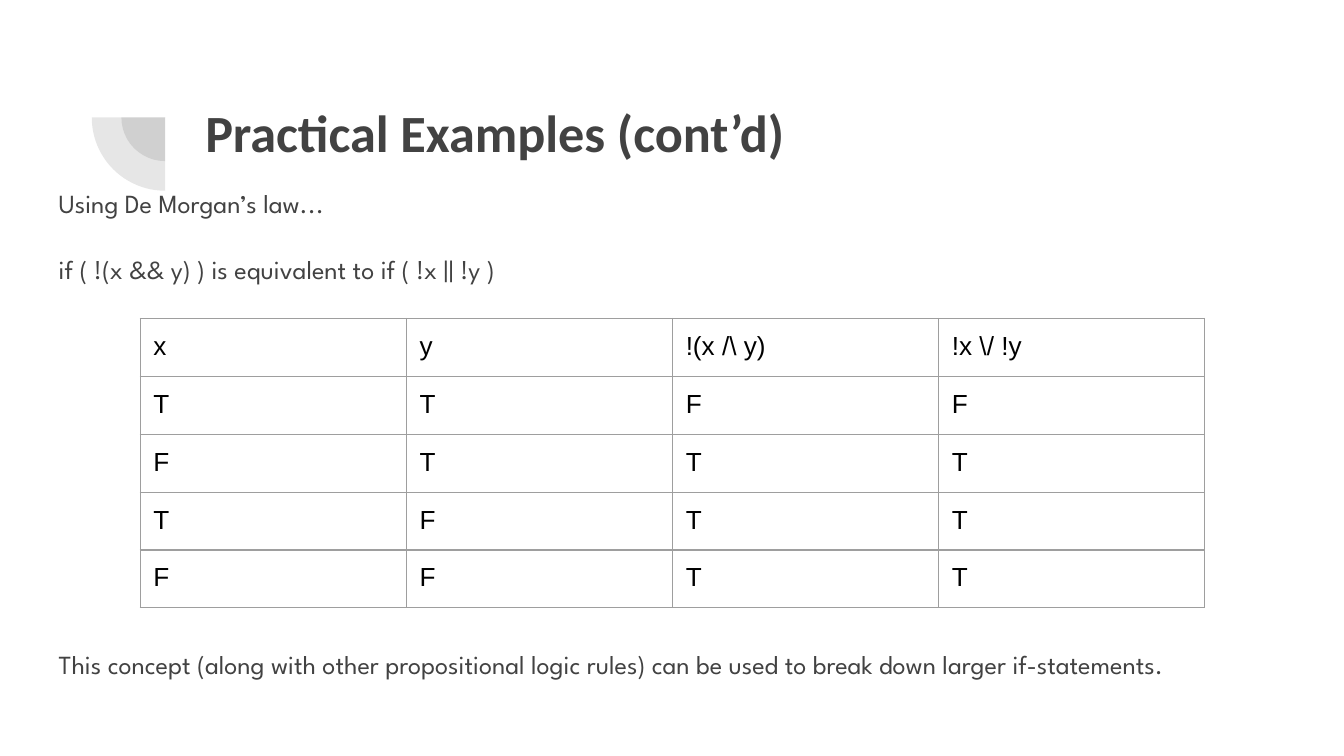
from dataclasses import dataclass

from lxml.etree import SubElement
from pptx import Presentation
from pptx.dml.color import RGBColor
from pptx.enum.shapes import MSO_SHAPE
from pptx.oxml.ns import qn
from pptx.util import Cm, Pt


@dataclass(frozen=True)
class Theme:
    ink: str = "424242"
    cell_ink: str = "000000"
    border: str = "9E9E9E"
    border_width: float = 0.75
    pie_alpha: int = 13
    title_font: str = "Calibri"
    body_font: str = "League Spartan"
    cell_font: str = "Arial"
    title_size: int = 28
    text_size: int = 14
    inset: float = 0.25


THEME = Theme()

TITLE = "Practical Examples (cont’d)"
# Each body line with the space before it, in points; the last one sits below the table
BODY = [
    ("Using De Morgan’s law...", 0),
    ("if ( !(x && y) ) is equivalent to if ( !x || !y )", 16),
    ("This concept (along with other propositional logic rules) "
     "can be used to break down larger if-statements.", 192.5),
]
TRUTH_TABLE = [
    ["x", "y", "!(x /\\ y)", "!x \\/ !y"],
    ["T", "T", "F", "F"],
    ["F", "T", "T", "T"],
    ["T", "F", "T", "T"],
    ["F", "F", "T", "T"],
]


def add_span(para, text, font, size, color, bold=False):
    span = para.add_run()
    span.text = text
    span.font.name = font
    span.font.size = Pt(size)
    span.font.bold = bold
    span.font.color.rgb = RGBColor.from_string(color)


def add_box(page, left, top, width, height):
    box = page.shapes.add_textbox(Cm(left), Cm(top), Cm(width), Cm(height))
    frame = box.text_frame
    frame.word_wrap = True
    frame.margin_left = frame.margin_right = Cm(THEME.inset)
    frame.margin_top = frame.margin_bottom = Cm(THEME.inset)
    return frame


def add_quarter_pie(page, center_x, center_y, diameter):
    pie = page.shapes.add_shape(
        MSO_SHAPE.PIE, Cm(center_x - diameter / 2), Cm(center_y - diameter / 2),
        Cm(diameter), Cm(diameter))
    pie.adjustments[0] = 108  # 180 degrees
    pie.adjustments[1] = 162  # 270 degrees
    pie.rotation = 270
    pie.shadow.inherit = False
    pie.line.fill.background()
    pie.fill.solid()
    pie.fill.fore_color.rgb = RGBColor.from_string(THEME.ink)
    color = pie._element.spPr.find(qn("a:solidFill"))[0]
    SubElement(color, qn("a:alpha"), val=str(THEME.pie_alpha * 1000))


def add_body(page):
    frame = add_box(page, 0.86, 3.2, 23.67, 10.46)
    for index, (text, space_before) in enumerate(BODY):
        para = frame.add_paragraph() if index else frame.paragraphs[0]
        para.line_spacing = 1.15
        para.space_before = Pt(space_before)
        add_span(para, text, THEME.body_font, THEME.text_size, THEME.ink)


def set_borders(cell):
    properties = cell._tc.get_or_add_tcPr()
    for side in ("lnL", "lnR", "lnT", "lnB"):
        line = SubElement(properties, qn(f"a:{side}"), w=str(Pt(THEME.border_width)))
        fill = SubElement(line, qn("a:solidFill"))
        SubElement(fill, qn("a:srgbClr"), val=THEME.border)


def add_truth_table(page, left, top, column_width, row_height):
    rows, columns = len(TRUTH_TABLE), len(TRUTH_TABLE[0])
    table = page.shapes.add_table(
        rows, columns, Cm(left), Cm(top),
        Cm(column_width * columns), Cm(row_height * rows)).table
    table.first_row = table.horz_banding = False
    for row_index, values in enumerate(TRUTH_TABLE):
        for column_index, value in enumerate(values):
            cell = table.cell(row_index, column_index)
            cell.margin_left = cell.margin_right = Cm(THEME.inset)
            cell.margin_top = cell.margin_bottom = Cm(THEME.inset)
            set_borders(cell)
            cell.fill.background()
            add_span(cell.text_frame.paragraphs[0], value,
                     THEME.cell_font, THEME.text_size, THEME.cell_ink)


def main():
    deck = Presentation()
    deck.slide_width, deck.slide_height = Cm(25.4), Cm(14.29)
    page = deck.slides.add_slide(deck.slide_layouts[6])

    # Corner ornament: two quarter pies around one centre
    for diameter in (1.65, 2.77):
        add_quarter_pie(page, 3.12, 2.22, diameter)

    # Title
    title = add_box(page, 3.63, 1.65, 19.53, 2.77)
    add_span(title.paragraphs[0], TITLE, THEME.title_font,
             THEME.title_size, THEME.ink, bold=True)

    # Body text and truth table
    add_body(page)
    add_truth_table(page, 2.65, 6.02, 5.03, 1.06)

    deck.save("out.pptx")


if __name__ == "__main__":
    main()
